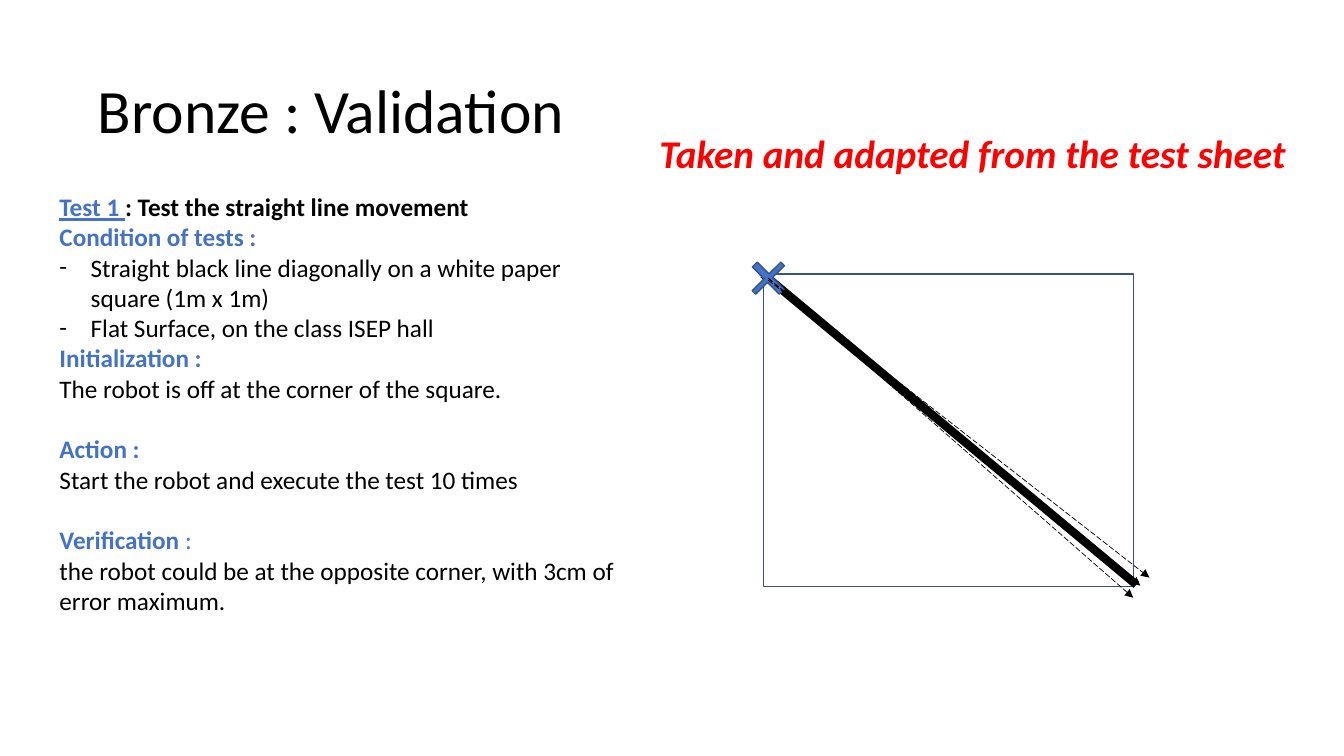
from lxml import etree
from pptx import Presentation
from pptx.dml.color import RGBColor
from pptx.enum.dml import MSO_LINE
from pptx.enum.shapes import MSO_CONNECTOR, MSO_SHAPE
from pptx.enum.text import MSO_ANCHOR, PP_ALIGN
from pptx.oxml.ns import qn
from pptx.util import Inches, Pt

STRAIGHT = MSO_CONNECTOR.STRAIGHT
RECT, PLUS = MSO_SHAPE.RECTANGLE, MSO_SHAPE.CROSS
LONG_DASH = MSO_LINE.LONG_DASH
TOP, MIDDLE = MSO_ANCHOR.TOP, MSO_ANCHOR.MIDDLE
LEFT = PP_ALIGN.LEFT

FONT = "Calibri"
COLORS = {"black": "000000", "white": "FFFFFF", "blue": "4472C4",
          "outline": "32538F", "red": "FF0000"}

# Content: run = (text, style); paragraph = (kind, runs)
STYLES = {
    "title": {"size": 44, "color": "black"},
    "note": {"size": 28, "color": "red", "bold": True, "italic": True},
    "test": {"size": 18, "color": "blue", "bold": True, "underline": True},
    "strong": {"size": 18, "color": "black", "bold": True},
    "head": {"size": 18, "color": "blue", "bold": True},
    "colon": {"size": 18, "color": "blue"},
    "body": {"size": 18, "color": "black"},
}
TITLE = [("plain", [("Bronze : Validation", "title")])]
NOTE = [("plain", [("Taken and adapted from the test sheet", "note")])]
TEST_SHEET = [
    ("plain", [("Test 1 ", "test"),
               (": Test the straight line movement", "strong")]),
    ("plain", [("Condition of tests :", "head")]),
    ("bullet", [("Straight black line diagonally on a white paper square "
                 "(1m x 1m)", "body")]),
    ("bullet", [("Flat Surface, on the class ISEP hall", "body")]),
    ("plain", [("Initialization :", "head")]),
    ("plain", [("The robot is off at the corner of the square.", "body")]),
    ("section", [("Action :", "head")]),
    ("plain", [("Start the robot and execute the test 10 times", "body")]),
    ("section", [("Verification", "head"), (" :", "colon")]),
    ("plain", [("the robot could be at the opposite corner, with 3cm of "
                "error maximum.", "body")]),
]
SECTION_GAP = 21.8
BULLET_INDENT = 0.31

PAPER = (7.57, 2.72, 3.67, 3.1)
START_MARK = (7.43, 2.56, 0.38, 0.4)
TRACK = ((7.57, 2.72), (11.27, 5.8))
ROBOT_PATHS = [
    ((7.62, 2.76), (11.24, 5.93)),
    ((7.62, 2.78), (11.4, 5.73)),
    ((7.62, 2.76), (11.31, 5.81)),
]


def rgb(name):
    return RGBColor.from_string(COLORS[name])


def add_bullet(p):
    pPr = p._p.get_or_add_pPr()
    pPr.set("marL", str(Inches(BULLET_INDENT)))
    pPr.set("indent", str(-Inches(BULLET_INDENT)))
    etree.SubElement(pPr, qn("a:buFont")).set("typeface", FONT)
    etree.SubElement(pPr, qn("a:buChar")).set("char", "-")


def add_text(s, box, paragraphs, anchor=TOP, spacing=None):
    tf = s.shapes.add_textbox(*map(Inches, box)).text_frame
    tf.word_wrap = True
    tf.vertical_anchor = anchor
    tf.margin_left = tf.margin_right = Inches(0.05)
    tf.margin_top = tf.margin_bottom = Inches(0.05)
    for i, (kind, runs) in enumerate(paragraphs):
        p = tf.add_paragraph() if i else tf.paragraphs[0]
        p.alignment = LEFT
        if spacing:
            p.line_spacing = spacing
        if kind == "section":
            p.space_before = Pt(SECTION_GAP)
        elif kind == "bullet":
            add_bullet(p)
        for text, style_name in runs:
            style = STYLES[style_name]
            r = p.add_run()
            r.text = text
            r.font.name = FONT
            r.font.size = Pt(style["size"])
            r.font.color.rgb = rgb(style["color"])
            r.font.bold = style.get("bold", False)
            r.font.italic = style.get("italic", False)
            r.font.underline = style.get("underline", False)


def add_outlined(s, kind, box, fill):
    sp = s.shapes.add_shape(kind, *map(Inches, box))
    sp.shadow.inherit = False
    sp.fill.solid()
    sp.fill.fore_color.rgb = rgb(fill)
    sp.line.color.rgb = rgb("outline")
    sp.line.width = Pt(1)
    return sp


def add_line(s, ends, width, arrow=False):
    start, end = ends
    line = s.shapes.add_connector(STRAIGHT, *map(Inches, start + end))
    line.line.color.rgb = rgb("black")
    line.line.width = Pt(width)
    if arrow:
        line.line.dash_style = LONG_DASH
        ln = line.line._get_or_add_ln()
        etree.SubElement(ln, qn("a:tailEnd")).set("type", "triangle")
    etree.SubElement(line._element.spPr, qn("a:effectLst"))


def main():
    prs = Presentation()
    prs.slide_width, prs.slide_height = Inches(13.33), Inches(7.5)
    s = prs.slides.add_slide(prs.slide_layouts[6])

    # Title and test description
    add_text(s, (0.92, 0.4, 11.5, 1.45), TITLE, MIDDLE, 0.9)
    add_text(s, (0.54, 1.85, 5.74, 5.79), TEST_SHEET)

    # Paper square with the diagonal track and the start mark
    add_outlined(s, RECT, PAPER, "white")
    add_line(s, TRACK, 6)
    mark = add_outlined(s, PLUS, START_MARK, "blue")
    mark.adjustments[0] = 0.435
    mark.rotation = 45.3

    # Possible robot paths
    for ends in ROBOT_PATHS:
        add_line(s, ends, 0.5, arrow=True)

    # Side note
    add_text(s, (6.49, 1.23, 6.49, 0.57), NOTE)

    prs.save("out.pptx")


if __name__ == "__main__":
    main()
